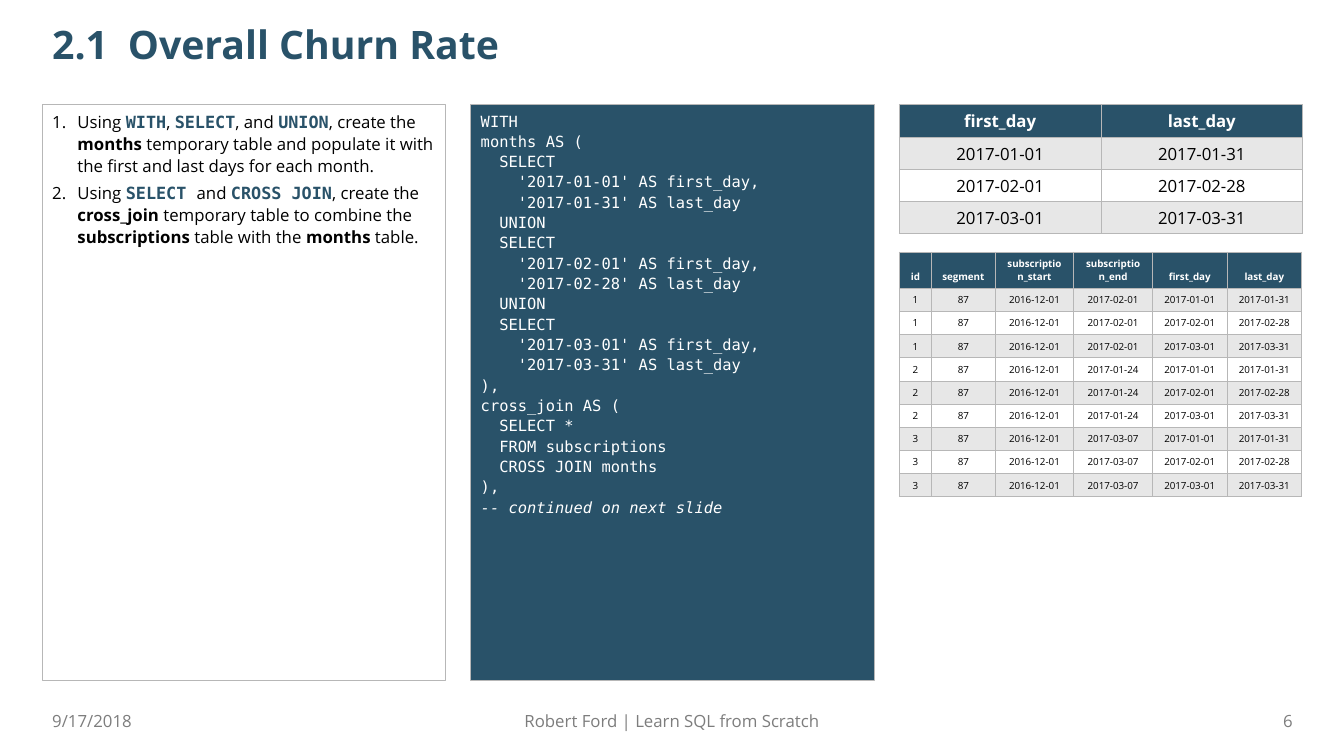
from itertools import product

from lxml.etree import SubElement
from pptx import Presentation
from pptx.dml.color import RGBColor
from pptx.enum.shapes import MSO_SHAPE
from pptx.enum.text import MSO_ANCHOR as ANCHOR, PP_ALIGN as ALIGN
from pptx.oxml.ns import qn
from pptx.util import Inches, Pt

NAVY = RGBColor(0x29, 0x52, 0x69)
BORDER = RGBColor(0xB7, 0xB7, 0xB7)
BAND = RGBColor(0xE7, 0xE7, 0xE7)
GREY = RGBColor(0x7D, 0x7D, 0x7D)
BLACK = RGBColor(0, 0, 0)
WHITE = RGBColor(0xFF, 0xFF, 0xFF)
SANS, MONO = "Open Sans", "DejaVu Sans Mono"

PLAIN = {"name": SANS, "size": Pt(12), "color": BLACK}
BOLD = {**PLAIN, "bold": True}
KEYWORD = {**BOLD, "name": MONO, "color": NAVY}
TITLE = {**BOLD, "size": Pt(28), "color": NAVY}
FOOTER = {**PLAIN, "color": GREY}
CODE = {"name": MONO, "size": Pt(11), "color": WHITE}
COMMENT = {**CODE, "italic": True}

STEPS = [
    [("Using ", PLAIN), ("WITH", KEYWORD), (", ", PLAIN), ("SELECT", KEYWORD),
     (", and ", PLAIN), ("UNION", KEYWORD), (", create the ", PLAIN), ("months", BOLD),
     (" temporary table and populate it with the first and last days for each month.", PLAIN)],
    [("Using ", PLAIN), ("SELECT ", KEYWORD), ("and ", PLAIN), ("CROSS JOIN", KEYWORD),
     (", create the ", PLAIN), ("cross_join", BOLD),
     (" temporary table to combine the ", PLAIN), ("subscriptions", BOLD),
     (" table with the ", PLAIN), ("months", BOLD), (" table.", PLAIN)],
]
SQL = """WITH
months AS (
  SELECT
    '2017-01-01' AS first_day,
    '2017-01-31' AS last_day
  UNION
  SELECT
    '2017-02-01' AS first_day,
    '2017-02-28' AS last_day
  UNION
  SELECT
    '2017-03-01' AS first_day,
    '2017-03-31' AS last_day
),
cross_join AS (
  SELECT *
  FROM subscriptions
  CROSS JOIN months
),"""
MONTH_COLS = ("first_day", "last_day")
MONTHS = [("2017-01-01", "2017-01-31"), ("2017-02-01", "2017-02-28"),
          ("2017-03-01", "2017-03-31")]
SUB_COLS = ("id", "segment", "subscription_start", "subscription_end")
SUBSCRIPTIONS = [("1", "87", "2016-12-01", "2017-02-01"),
                 ("2", "87", "2016-12-01", "2017-01-24"),
                 ("3", "87", "2016-12-01", "2017-03-07")]


class Deck:
    """Hold the presentation, its style and the current slide."""

    def __init__(self):
        self.prs = Presentation()
        self.prs.slide_width, self.prs.slide_height = Inches(13.33), Inches(7.5)
        self.s = self.prs.slides.add_slide(self.prs.slide_layouts[6])

    def paragraph(self, p, runs, indent=0, number=False, **fmt):
        """Fill a paragraph with (text, style) runs."""
        for key, value in fmt.items():
            setattr(p, key, value)
        pPr = p._p.get_or_add_pPr()
        if indent:
            pPr.set("marL", str(Inches(indent)))
            pPr.set("indent", str(-Inches(indent)))
        if number:
            SubElement(pPr, qn("a:buAutoNum"), type="arabicPeriod")
        for text, style in runs:
            r = p.add_run()
            r.text = text
            for key, value in style.items():
                if key == "color":
                    r.font.color.rgb = value
                else:
                    setattr(r.font, key, value)

    def fill_frame(self, tf, paragraphs, anchor, **fmt):
        """Put paragraphs into a wrapping text frame."""
        tf.word_wrap = True
        tf.vertical_anchor = anchor
        for i, runs in enumerate(paragraphs):
            p = tf.add_paragraph() if i else tf.paragraphs[0]
            self.paragraph(p, runs, **fmt)

    def text(self, x, y, w, h, text, style, **fmt):
        """Add a one-line text box centred vertically."""
        sp = self.s.shapes.add_textbox(Inches(x), Inches(y), Inches(w), Inches(h))
        self.fill_frame(sp.text_frame, [[(text, style)]], ANCHOR.MIDDLE, **fmt)

    def panel(self, x, y, w, h, paragraphs, fill=None, **fmt):
        """Add a bordered panel with text at the top."""
        sp = self.s.shapes.add_shape(MSO_SHAPE.RECTANGLE, Inches(x), Inches(y),
                                     Inches(w), Inches(h))
        sp.shadow.inherit = False
        if fill is None:
            sp.fill.background()
        else:
            sp.fill.solid()
            sp.fill.fore_color.rgb = fill
        sp.line.color.rgb = BORDER
        sp.line.width = Pt(0.75)
        self.fill_frame(sp.text_frame, paragraphs, ANCHOR.TOP,
                        alignment=ALIGN.LEFT, line_spacing=1.1, **fmt)

    def border(self, cell):
        """Draw a thin line on all four sides of a cell."""
        tcPr = cell._tc.get_or_add_tcPr()
        for side in "LRTB":
            ln = SubElement(tcPr, qn(f"a:ln{side}"), w=str(Pt(0.75)))
            SubElement(SubElement(ln, qn("a:solidFill")), qn("a:srgbClr"), val=str(BORDER))

    def table(self, x, y, widths, heights, rows, size, head_anchor=ANCHOR.TOP):
        """Add a banded table whose first row is the header."""
        tbl = self.s.shapes.add_table(len(rows), len(widths), Inches(x), Inches(y),
                                      Inches(sum(widths)), Inches(sum(heights))).table
        for col, width in zip(tbl.columns, widths):
            col.width = Inches(width)
        for i, (row, height, values) in enumerate(zip(tbl.rows, heights, rows)):
            row.height = Inches(height)
            fill = BAND if i % 2 else WHITE
            style = {**PLAIN, "size": Pt(size), "bold": False}
            if i == 0:
                fill = NAVY
                style.update(color=WHITE, bold=True)
            for cell, value in zip(row.cells, values):
                self.border(cell)
                cell.fill.solid()
                cell.fill.fore_color.rgb = fill
                cell.vertical_anchor = ANCHOR.TOP if i else head_anchor
                self.paragraph(cell.text_frame.paragraphs[0], [(value, style)],
                               alignment=ALIGN.CENTER)


def main():
    """Build the churn rate slide."""
    deck = Deck()
    left, middle, right = (0.42 + 4.25 * i for i in range(3))
    top, width, height = 1.04, 4, 5.71

    deck.text(left, 0.15, 12.5, 0.63, "2.1\tOverall Churn Rate", TITLE,
              indent=0.75, line_spacing=0.9)
    deck.panel(left, top, width, height, STEPS, indent=0.25, number=True,
               space_before=Pt(3))
    code = [[(line, CODE)] for line in SQL.split("\n")]
    deck.panel(middle, top, width, height,
               code + [[("-- continued on next slide", COMMENT)]], fill=NAVY)

    deck.table(right, top, [2, 2], [0.32] * 4, [MONTH_COLS] + MONTHS, 12)
    joined = [sub + month for sub, month in product(SUBSCRIPTIONS, MONTHS)]
    deck.table(right, 2.5, [0.32, 0.63, 0.78, 0.78, 0.74, 0.74], [0.36] + [0.23] * 9,
               [SUB_COLS + MONTH_COLS] + joined, 7, ANCHOR.BOTTOM)

    for x, w, text, align in [
        (left, 3, "9/17/2018", ALIGN.LEFT),
        (3.54, 6.25, "Robert Ford | Learn SQL from Scratch", ALIGN.CENTER),
        (9.92, 3, "6", ALIGN.RIGHT),
    ]:
        deck.text(x, 6.95, w, 0.4, text, FOOTER, alignment=align)
    deck.prs.save("out.pptx")


if __name__ == "__main__":
    main()
